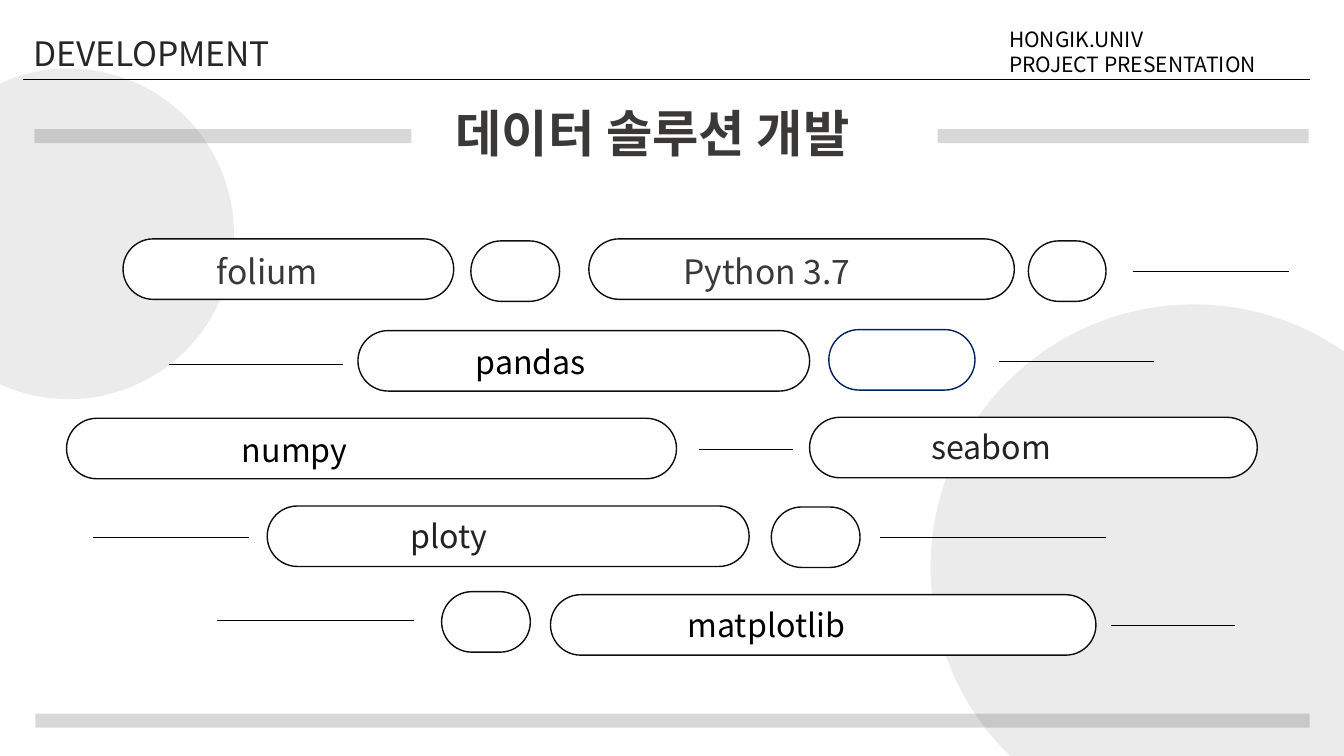
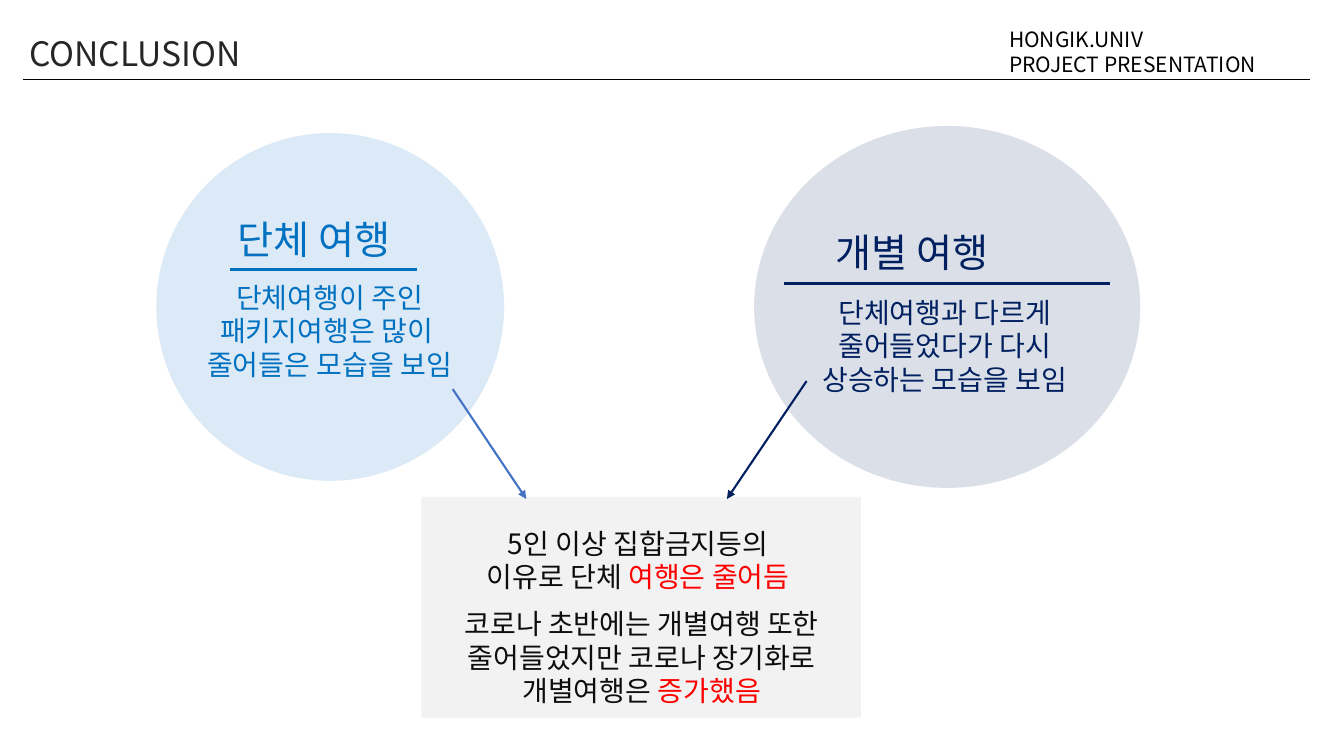
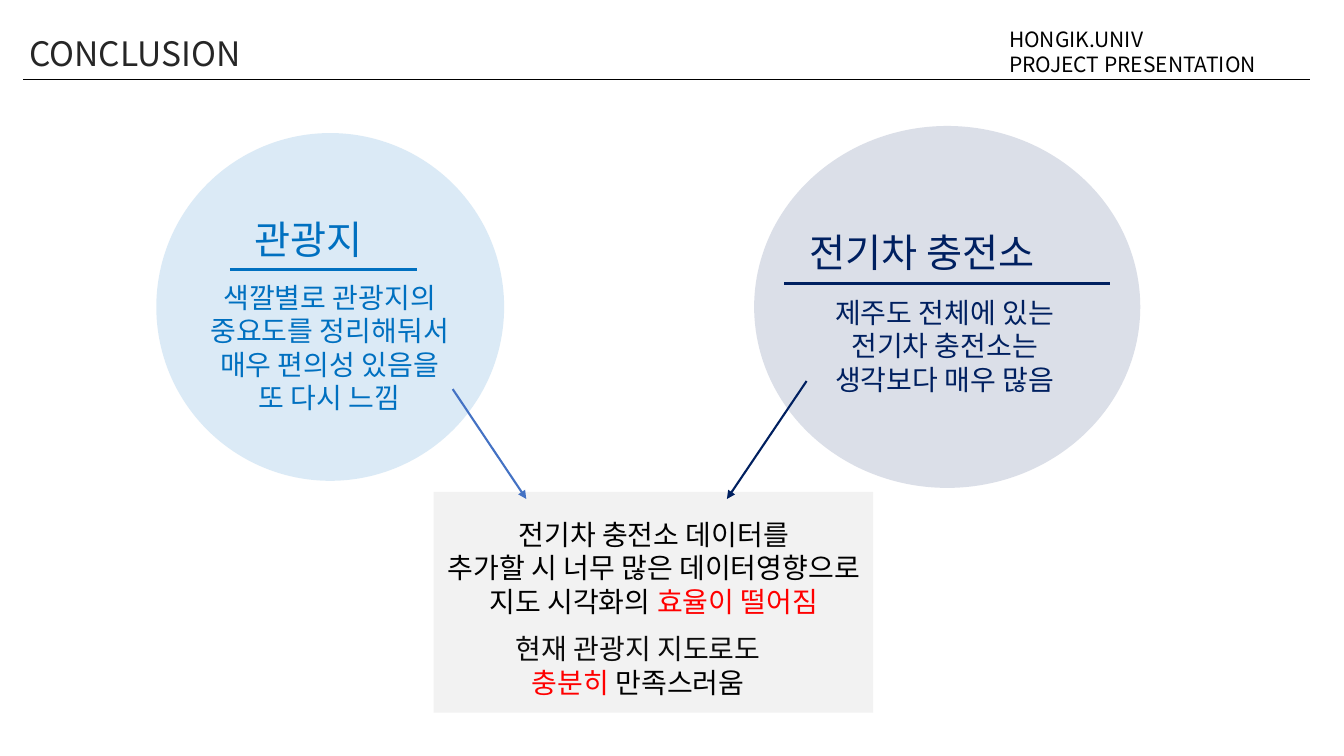
from dataclasses import dataclass

from pptx import Presentation
from pptx import util as u
from pptx.dml import color
from pptx.enum import shapes, text
from pptx.oxml import ns, xmlchemy


@dataclass(frozen=True)
class Theme:
    font: str = "Noto Sans CJK KR"
    white: str = "FFFFFF"
    black: str = "000000"
    ink: str = "0D0D0D"
    heading: str = "262626"
    charcoal: str = "3B3838"
    graphite: str = "222222"
    band: str = "404040"
    disc: str = "D9D9D9"
    panel: str = "808080"
    blue: str = "0070C0"
    arrow_blue: str = "4472C4"
    navy: str = "002060"
    red: str = "FF0000"
    title_size: int = 36
    topic_size: int = 28
    section_size: int = 24
    label_size: int = 23
    body_size: int = 20
    credit_size: int = 15
    hairline: float = 0.5
    outline: float = 1
    arrow: float = 1.5
    rule: float = 2.25
    band_width: float = 10


THEME = Theme()


@dataclass(frozen=True)
class Label:
    """Pill caption; dx and dy are measured from the pill's corner."""
    words: str
    dx: float
    dy: float
    width: float
    indent: float
    size: int = THEME.label_size
    ink: str = THEME.black


@dataclass(frozen=True)
class TopicStyle:
    """Circle box, with all parts measured from its corner."""
    box: tuple
    ink: str
    arrow_ink: str
    heading: tuple
    rule: tuple
    body: tuple
    arrow: tuple


LEFT_TOPIC = TopicStyle((1.55, 1.32, 3.45, 3.45), THEME.blue, THEME.arrow_blue,
                        (0.62, 0.77, 2.32), (0.73, 1.35, 2.59), (0.07, 1.41, 3.3),
                        (2.94, 2.54, 3.67, 3.63))
RIGHT_TOPIC = TopicStyle((7.48, 1.25, 3.83, 3.59), THEME.navy, THEME.navy,
                         (0.19, 0.97, 3.83), (0.3, 1.56, 3.53), (0.24, 1.63, 3.3),
                         (0.52, 2.53, -0.27, 3.7))


# Basic parts
def rgb(value):
    return color.RGBColor.from_string(value)


def set_alpha(properties, percent):
    fill_color = properties.find(ns.qn("a:solidFill"))[0]
    alpha = xmlchemy.OxmlElement("a:alpha")
    alpha.set("val", str(percent * 1000))
    fill_color.append(alpha)


def add_panel(slide, kind, box, fill, alpha=None, outline=None):
    shape = slide.shapes.add_shape(kind, *map(u.Inches, box))
    shape.shadow.inherit = False
    shape.fill.solid()
    shape.fill.fore_color.rgb = rgb(fill)
    if alpha:
        set_alpha(shape.element.spPr, alpha)
    if outline:
        shape.line.color.rgb = rgb(outline)
        shape.line.width = u.Pt(THEME.outline)
    else:
        shape.line.fill.background()
    return shape


def add_line(slide, ends, ink=THEME.black, width=THEME.hairline, alpha=None, arrow=False):
    connector = slide.shapes.add_connector(
        shapes.MSO_CONNECTOR.STRAIGHT, *map(u.Inches, ends))
    connector.line.color.rgb = rgb(ink)
    connector.line.width = u.Pt(width)
    properties = connector.element.spPr
    outline = properties.find(ns.qn("a:ln"))
    if alpha:
        set_alpha(outline, alpha)
    if arrow:
        tail = xmlchemy.OxmlElement("a:tailEnd")
        tail.set("type", "triangle")
        outline.append(tail)
    properties.append(xmlchemy.OxmlElement("a:effectLst"))


def add_text(slide, left, top, width, paragraphs, size, ink,
             bold=False, centred=False, indent=0):
    """Each paragraph is a string or a list of (words, colour) runs."""
    height = len(paragraphs) * size / 60 + 0.1
    box = slide.shapes.add_textbox(*map(u.Inches, (left, top, width, height)))
    frame = box.text_frame
    frame.word_wrap = True
    frame.auto_size = text.MSO_AUTO_SIZE.SHAPE_TO_FIT_TEXT
    for index, runs in enumerate(paragraphs):
        paragraph = frame.add_paragraph() if index else frame.paragraphs[0]
        if centred:
            paragraph.alignment = text.PP_ALIGN.CENTER
        if indent:
            paragraph._p.get_or_add_pPr().set("marL", str(u.Inches(indent)))
        for words, run_ink in [(runs, ink)] if isinstance(runs, str) else runs:
            run = paragraph.add_run()
            run.text = words
            run.font.size = u.Pt(size)
            run.font.bold = bold
            run.font.color.rgb = rgb(run_ink)
            run.font.name = THEME.font
            east_asian = xmlchemy.OxmlElement("a:ea")
            east_asian.set("typeface", THEME.font)
            run.font._element.append(east_asian)


# Shared header
def add_header(slide, section, left):
    add_line(slide, (0.23, 0.79, 12.99, 0.79))
    add_text(slide, left, 0.28, 5.55, [section], THEME.section_size, THEME.heading)
    add_text(slide, 9.91, 0.21, 3.43, ["HONGIK.UNIV", "PROJECT PRESENTATION"],
             THEME.credit_size, THEME.black)


# Development slide
def add_band(slide, start, end, y):
    add_line(slide, (start, y, end, y), THEME.band, THEME.band_width, alpha=20)


def add_pill(slide, left, top, width, label=None, outline=THEME.ink):
    pill = add_panel(slide, shapes.MSO_SHAPE.ROUNDED_RECTANGLE,
                     (left, top, width, 0.6), THEME.white, outline=outline)
    pill.adjustments[0] = 0.5
    if label:
        add_text(slide, left + label.dx, top + label.dy, label.width, [label.words],
                 label.size, label.ink, indent=label.indent)


def add_pill_row(slide, top, pills, lines):
    """Pills are (left, drop, width, ...); lines are (start, end, drop)."""
    for left, drop, width, *details in pills:
        add_pill(slide, left, top + drop, width, *details)
    for start, end, drop in lines:
        add_line(slide, (start, top + drop, end, top + drop))


def build_development(slide):
    for left, top, size in [(-0.96, 0.68, 3.28), (9.23, 3.02, 5.22)]:
        add_panel(slide, shapes.MSO_SHAPE.OVAL, (left, top, size, size),
                  THEME.disc, alpha=50)
    add_header(slide, "DEVELOPMENT", 0.23)
    add_text(slide, 4.19, 0.96, 5.99, ["데이터 솔루션 개발"], THEME.title_size,
             THEME.charcoal, bold=True, indent=0.23)
    for start, end, y in [(0.34, 4.08, 1.35), (9.3, 12.98, 1.35), (0.35, 12.99, 7.15)]:
        add_band(slide, start, end, y)

    large = (THEME.section_size, THEME.charcoal)
    dark = (THEME.label_size, THEME.graphite)
    add_pill_row(slide, 2.37, [
        (1.22, 0, 3.28, Label("folium", 0.31, 0.07, 2, 0.52, *large)),
        (4.67, 0.02, 0.88),
        (5.84, 0, 4.22, Label("Python 3.7", 0.25, 0.07, 2.79, 0.59, *large)),
        (10.2, 0.02, 0.77),
    ], [(11.24, 12.78, 0.32)])
    add_pill_row(slide, 3.28, [
        (3.55, 0, 4.48, Label("pandas", 0.29, 0.07, 3.86, 0.78)),
        (8.22, -0.01, 1.45, None, THEME.navy),
    ], [(1.68, 3.4, 0.33), (9.91, 11.45, 0.31)])
    add_pill_row(slide, 4.15, [
        (0.66, 0, 6.05, Label("numpy", 0.29, 0.07, 6.05, 1.35)),
        (8.03, -0.01, 4.44, Label("seabom", 0.33, 0.05, 4.54, 0.78, *dark)),
    ], [(6.93, 7.87, 0.31)])
    add_pill_row(slide, 5.02, [
        (2.65, 0, 4.78, Label("ploty", 0.33, 0.05, 4.15, 0.99, *dark)),
        (7.65, 0.01, 0.88),
    ], [(0.92, 2.47, 0.31), (8.73, 10.97, 0.31)])
    add_pill_row(slide, 5.9, [
        (4.38, -0.03, 0.88),
        (5.46, 0, 5.41, Label("matplotlib", 0.27, 0.06, 4.96, 0.99)),
    ], [(2.15, 4.11, 0.25), (11.02, 12.25, 0.3)])


# Conclusion slides
def add_topic(slide, style, heading, indent, body):
    left, top = style.box[:2]
    add_panel(slide, shapes.MSO_SHAPE.OVAL, style.box, style.ink, alpha=14)
    dx, dy, width = style.heading
    add_text(slide, left + dx, top + dy, width, [heading], THEME.topic_size,
             style.ink, indent=indent)
    start, dy, end = style.rule
    add_line(slide, (left + start, top + dy, left + end, top + dy),
             style.ink, THEME.rule)
    dx, dy, width = style.body
    add_text(slide, left + dx, top + dy, width, body, THEME.body_size,
             style.ink, centred=True)


def add_topic_arrow(slide, style):
    left, top = style.box[:2]
    x1, y1, x2, y2 = style.arrow
    add_line(slide, (left + x1, top + y1, left + x2, top + y2),
             style.arrow_ink, THEME.arrow, arrow=True)


def add_result(slide, left, top, notes):
    """Notes are (dx, dy, width, paragraphs), measured from the panel's corner."""
    add_panel(slide, shapes.MSO_SHAPE.RECTANGLE, (left, top, 4.36, 2.19),
              THEME.panel, alpha=10)
    for dx, dy, width, paragraphs in notes:
        add_text(slide, left + dx, top + dy, width, paragraphs, THEME.body_size,
                 THEME.ink, centred=True)


def build_conclusion(slide, left_topic, right_topic, result):
    add_header(slide, "CONCLUSION", 0.19)
    add_topic(slide, LEFT_TOPIC, *left_topic)
    add_topic(slide, RIGHT_TOPIC, *right_topic)
    add_result(slide, *result)
    for style in (LEFT_TOPIC, RIGHT_TOPIC):
        add_topic_arrow(slide, style)


def main():
    presentation = Presentation()
    presentation.slide_width = u.Inches(13.33)
    presentation.slide_height = u.Inches(7.5)
    blank = presentation.slide_layouts[6]

    build_development(presentation.slides.add_slide(blank))

    build_conclusion(
        presentation.slides.add_slide(blank),
        ("단체 여행", 0.09,
         ["단체여행이 주인", "패키지여행은 많이 ", "줄어들은 모습을 보임"]),
        ("개별 여행", 0.52,
         ["단체여행과 다르게", "줄어들었다가 다시", "상승하는 모습을 보임"]),
        (4.18, 4.93, [
            (0.34, 0.24, 3.68, [
                "5인 이상 집합금지등의 ",
                [("이유로 단체 ", THEME.ink), ("여행은 줄어듬 ", THEME.red)]]),
            (0.17, 1.04, 4.03, [
                [("코로나 초반에는 개별여행 또한 줄어들었지만 코로나 장기화로 개별여행은 ",
                  THEME.ink), ("증가했음", THEME.red)]]),
        ]))

    build_conclusion(
        presentation.slides.add_slide(blank),
        ("관광지", 0.26,
         ["색깔별로 관광지의", "중요도를 정리해둬서", "매우 편의성 있음을", "또 다시 느낌"]),
        ("전기차 충전소", 0.26,
         ["제주도 전체에 있는", "전기차 충전소는", "생각보다 매우 많음"]),
        (4.3, 4.88, [
            (-0.16, 0.2, 4.69, [
                [("전기차 충전소 데이터를", THEME.black)],
                [("추가할 시 너무 많은 데이터영향으로 지도 시각화의 ", THEME.black),
                 ("효율이 떨어짐", THEME.red)]]),
            (0.19, 1.34, 3.68, [
                "현재 관광지 지도로도",
                [("충분히 ", THEME.red), ("만족스러움", THEME.black)]]),
        ]))

    presentation.save("out.pptx")


if __name__ == "__main__":
    main()
